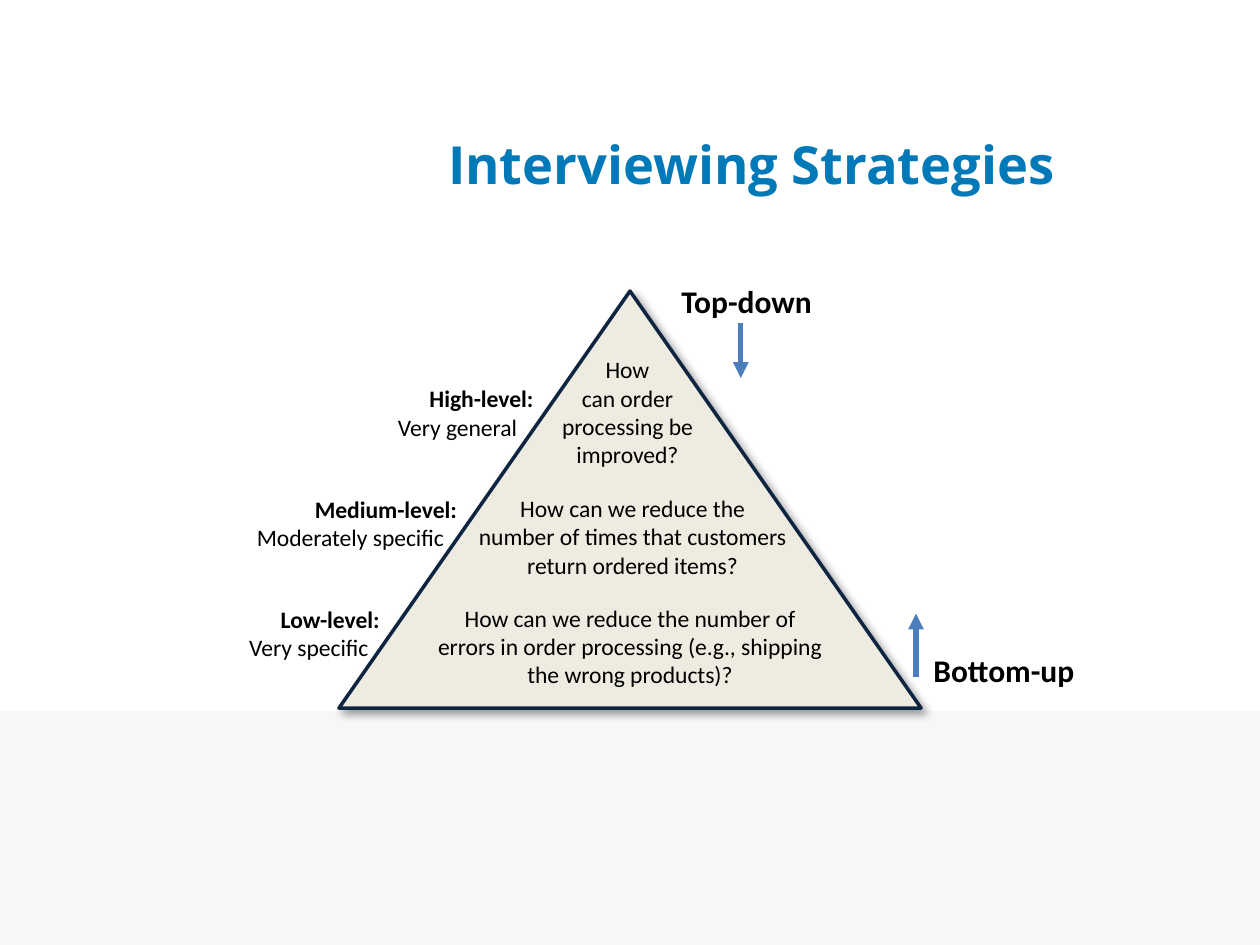
import dataclasses

import lxml.etree
import pptx
import pptx.dml.color
import pptx.enum.shapes
import pptx.enum.text
import pptx.oxml
import pptx.oxml.ns
import pptx.util

Inches = pptx.util.Inches
ALIGN = pptx.enum.text.PP_ALIGN
ANCHOR = pptx.enum.text.MSO_ANCHOR
SHAPE = pptx.enum.shapes.MSO_SHAPE


@dataclasses.dataclass(frozen=True)
class Theme:
    black = pptx.dml.color.RGBColor.from_string("000000")
    white = pptx.dml.color.RGBColor.from_string("FFFFFF")
    band = pptx.dml.color.RGBColor.from_string("F7F7F7")
    title = pptx.dml.color.RGBColor.from_string("0079B8")
    pyramid = pptx.dml.color.RGBColor.from_string("EEECE1")
    outline = pptx.dml.color.RGBColor.from_string("0E2542")
    arrow = pptx.dml.color.RGBColor.from_string("4B7EBC")
    title_font = "Open Sans"
    body_font = "Calibri"
    title_size = pptx.util.Pt(30)
    direction_size = pptx.util.Pt(18)
    body_size = pptx.util.Pt(13.5)


theme = Theme()
presentation = pptx.Presentation()
presentation.slide_width = Inches(10)
presentation.slide_height = Inches(7.5)
slide = presentation.slides.add_slide(presentation.slide_layouts[6])


def add_text(text, *, at, size=theme.body_size, font=theme.body_font, color=theme.black,
             align=ALIGN.LEFT, bold_lines=0, first_indent=0, wrap=False, anchor=ANCHOR.TOP):
    """Add a text box with one paragraph per line of text."""
    box = slide.shapes.add_textbox(*map(Inches, at))
    frame = box.text_frame
    frame.text = text
    frame.word_wrap = wrap
    frame.vertical_anchor = anchor
    if not wrap:
        frame.auto_size = pptx.enum.text.MSO_AUTO_SIZE.SHAPE_TO_FIT_TEXT
    for number, paragraph in enumerate(frame.paragraphs):
        paragraph.alignment = align
        run_font = paragraph.runs[0].font
        run_font.name, run_font.size = font, size
        run_font.color.rgb = color
        run_font.bold = number < bold_lines
    if first_indent:
        frame.paragraphs[0]._p.get_or_add_pPr().set("indent", str(Inches(first_indent)))
    return box


def add_arrow(x, start, end):
    """Add a vertical arrow with its head at the end."""
    arrow = slide.shapes.add_connector(
        pptx.enum.shapes.MSO_CONNECTOR.STRAIGHT, *map(Inches, (x, start, x, end)))
    arrow.line.color.rgb = theme.arrow
    arrow.line.width = pptx.util.Pt(3)
    lxml.etree.SubElement(arrow.line._get_or_add_ln(), pptx.oxml.ns.qn("a:tailEnd"), type="triangle")
    lxml.etree.SubElement(arrow._element.spPr, pptx.oxml.ns.qn("a:effectLst"))


# Footer band
band = slide.shapes.add_shape(SHAPE.RECTANGLE, *map(Inches, (0, 5.64, 10, 1.86)))
band.shadow.inherit = False
band.fill.solid()
band.fill.fore_color.rgb = theme.band
band.line.fill.background()

# Title
add_text("Interviewing Strategies", at=(2.1, 0.67, 7.73, 1.25), size=theme.title_size,
         font=theme.title_font, color=theme.title, align=ALIGN.CENTER, bold_lines=1,
         wrap=True, anchor=ANCHOR.MIDDLE)

# Pyramid with a soft shadow
pyramid = slide.shapes.add_shape(SHAPE.ISOSCELES_TRIANGLE, *map(Inches, (2.69, 2.31, 4.62, 3.31)))
pyramid.fill.solid()
pyramid.fill.fore_color.rgb = theme.pyramid
pyramid.line.color.rgb = theme.outline
pyramid.line.width = pptx.util.Pt(2)
pyramid.shadow.inherit = False
pyramid._element.spPr.find(pptx.oxml.ns.qn("a:effectLst")).append(pptx.oxml.parse_xml(
    f'<a:outerShdw {pptx.oxml.ns.nsdecls("a")} blurRad="{pptx.util.Pt(5)}" '
    f'dist="{pptx.util.Pt(3)}" dir="2700000" algn="tl" rotWithShape="0">'
    f'<a:srgbClr val="{theme.black}"><a:alpha val="40000"/></a:srgbClr></a:outerShdw>'))

# Questions inside the pyramid
questions = [
    ("How\ncan order\nprocessing be\nimproved?", (4.35, 2.77, 1.26, 1.01)),
    ("How can we reduce the\nnumber of times that customers\nreturn ordered items?",
     (3.66, 3.87, 2.72, 0.78)),
    ("How can we reduce the number of\nerrors in order processing (e.g., shipping\n"
     "the wrong products)?", (3.35, 4.74, 3.3, 0.78)),
]
for question, place in questions:
    add_text(question, at=place, align=ALIGN.CENTER)

# Directions of questioning
add_text("Top-down", at=(5.31, 2.19, 1.24, 0.4), size=theme.direction_size, bold_lines=1)
add_arrow(5.88, 2.56, 3)
bottom_up = add_text("Bottom-up", at=(7.31, 5.12, 1.34, 0.4),
                     size=theme.direction_size, bold_lines=1)
bottom_up.fill.solid()
bottom_up.fill.fore_color.rgb = theme.white
add_arrow(7.27, 5.37, 4.87)

# Level labels along the left edge
levels = [
    ("High-level:\nVery general", (3.06, 3, 1.29, 0.56), 0.25),
    ("Medium-level:\nModerately specific", (1.94, 3.88, 1.81, 0.56), 0.46),
    ("Low-level:\nVery specific", (1.88, 4.75, 1.26, 0.56), 0.25),
]
for level, place, heading_indent in levels:
    add_text(level, at=place, bold_lines=1, first_indent=heading_indent)

presentation.save("out.pptx")
